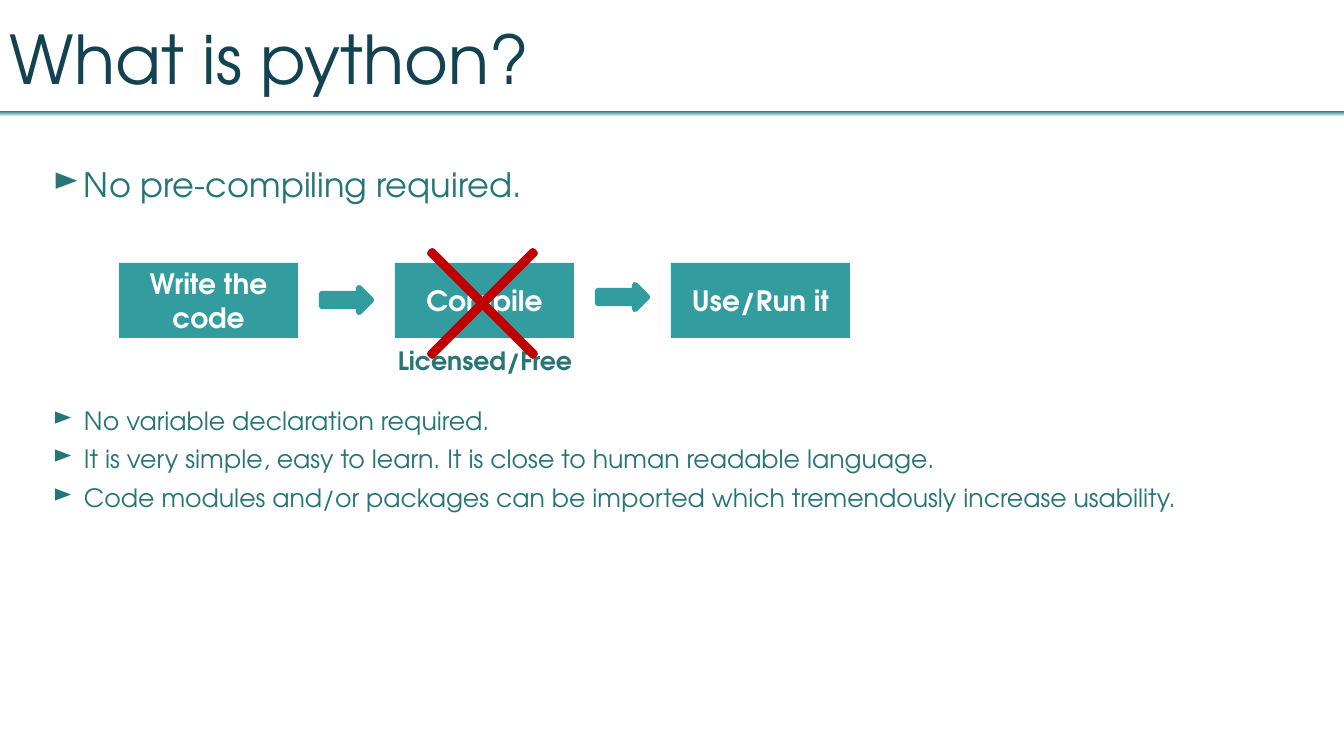
import pptx
import pptx.util
import pptx.dml.color
import pptx.enum.shapes
import pptx.enum.text
import pptx.oxml.ns
import lxml.etree

PX = 914400 / 100.8
FONT = "TeX Gyre Adventor"
NAVY = pptx.dml.color.RGBColor(0x13, 0x42, 0x51)
DARK_TEAL = pptx.dml.color.RGBColor(0x26, 0x75, 0x77)
TEAL = pptx.dml.color.RGBColor(0x33, 0x9C, 0x9F)
PALE_TEAL = pptx.dml.color.RGBColor(0xD2, 0xF0, 0xF0)
RED = pptx.dml.color.RGBColor(0xC0, 0x00, 0x00)
WHITE = pptx.dml.color.RGBColor(0xFF, 0xFF, 0xFF)
SHAPE = pptx.enum.shapes.MSO_SHAPE
ALIGN = pptx.enum.text.PP_ALIGN

deck = pptx.Presentation()
deck.slide_width = round(1344 * PX)
deck.slide_height = round(756 * PX)
page = deck.slides.add_slide(deck.slide_layouts[6])


def add_shape(kind, left, top, width, height, color, outline=0):
    shape = page.shapes.add_shape(kind, *[round(n * PX) for n in (left, top, width, height)])
    shape.shadow.inherit = False
    shape.fill.solid()
    shape.fill.fore_color.rgb = color
    if outline:
        shape.line.color.rgb = color
        shape.line.width = pptx.util.Pt(outline)
    else:
        shape.line.fill.background()
    return shape


def write(frame, lines, size, color, align=ALIGN.LEFT, bold=False, bullet=False):
    frame.word_wrap = True
    for index, line in enumerate(lines):
        para = frame.add_paragraph() if index else frame.paragraphs[0]
        para.alignment = align
        if bullet:
            para.space_after = pptx.util.Pt(6)
            props = para._p.get_or_add_pPr()
            props.set("marL", str(round(31 * PX)))
            props.set("indent", str(round(-31 * PX)))
            mark = lxml.etree.SubElement(props, pptx.oxml.ns.qn("a:buChar"))
            mark.set("char", "►")
        span = para.add_run()
        span.text = line
        span.font.name = FONT
        span.font.size = pptx.util.Pt(size)
        span.font.bold = bold
        span.font.color.rgb = color


# Rule under the title
rule = add_shape(SHAPE.RECTANGLE, -1, 111, 1346, 5, DARK_TEAL)
rule.fill.gradient()
rule.fill.gradient_angle = 270
for stop, color in zip(rule.fill.gradient_stops, (DARK_TEAL, PALE_TEAL)):
    stop.color.rgb = color

# Three steps, evenly spaced
for index, step in enumerate(("Write the code", "Compile", "Use/Run it")):
    box = add_shape(SHAPE.RECTANGLE, 119 + 276 * index, 263, 179, 75, TEAL)
    box.text_frame.vertical_anchor = pptx.enum.text.MSO_ANCHOR.MIDDLE
    write(box.text_frame, [step], 20, WHITE, ALIGN.CENTER, bold=True)

# Block arrows between the steps
for left, top in ((322, 288), (598, 285)):
    add_shape(SHAPE.RIGHT_ARROW, left, top, 49, 24, TEAL, outline=4.5)

# Title, bullets and the caption of the middle step
bullets = [
    "No variable declaration required.",
    "It is very simple, easy to learn. It is close to human readable language.",
    "Code modules and/or packages can be imported which tremendously increase usability.",
]
for place, lines, size, color, style in (
    ((0, 12, 1269, 92), ["What is python?"], 48, NAVY, {}),
    ((43, 159, 1226, 50), ["No pre-compiling required."], 24, DARK_TEAL, {"bullet": True}),
    ((381, 340, 208, 40), ["Licensed/Free"], 18, DARK_TEAL, {"align": ALIGN.CENTER, "bold": True}),
    ((43, 400, 1226, 119), bullets, 18, DARK_TEAL, {"bullet": True}),
):
    box = page.shapes.add_textbox(*[round(n * PX) for n in place])
    box.text_frame.auto_size = pptx.enum.text.MSO_AUTO_SIZE.SHAPE_TO_FIT_TEXT
    write(box.text_frame, lines, size, color, **style)

# Red cross over the compile step
cross = add_shape(SHAPE.CROSS, 410, 231, 145, 145, RED, outline=4.5)
cross.adjustments[0] = 0.49
cross.rotation = 45

deck.save("out.pptx")
